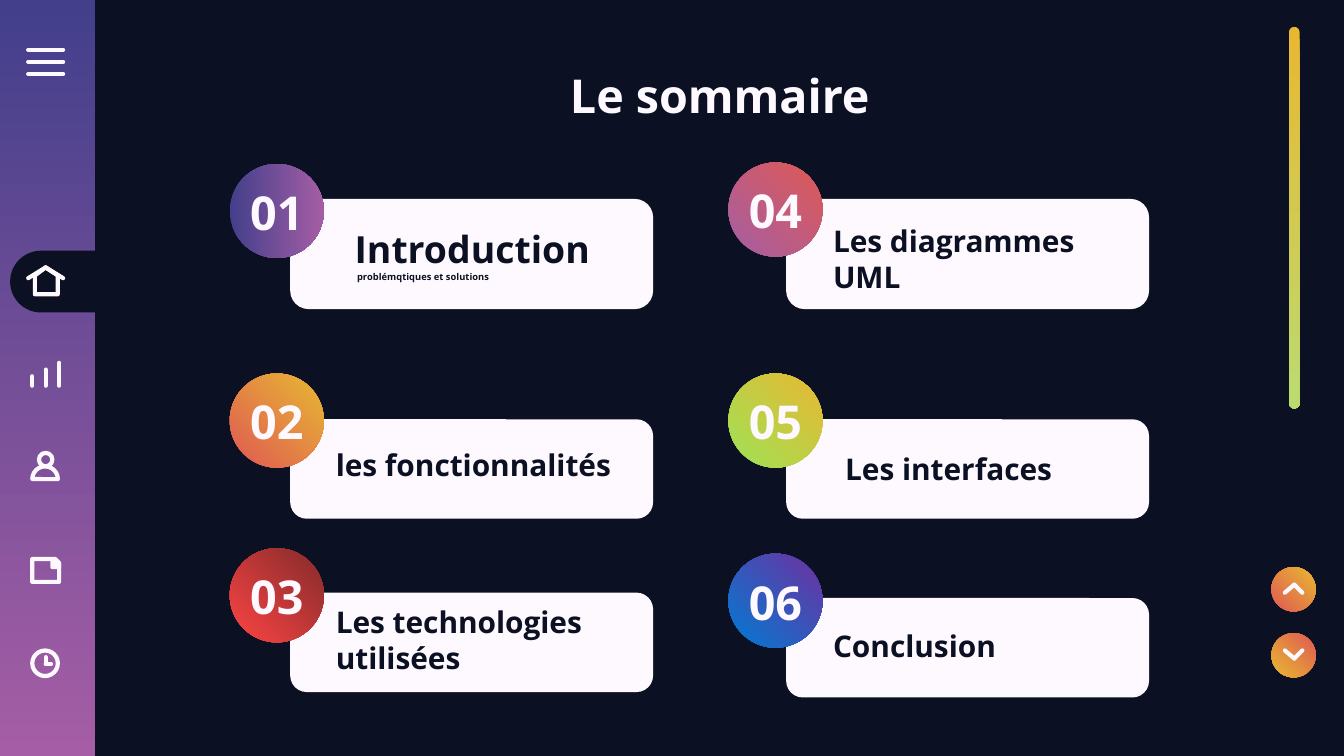
"""Build the agenda slide on a 16:9 grid of 1000 columns."""
import pptx
import pptx.util
import pptx.dml.color
import pptx.enum.shapes
import pptx.enum.text
import pptx.oxml.ns
import lxml.etree
from dataclasses import dataclass

KIND = pptx.enum.shapes.MSO_SHAPE
ALIGN = pptx.enum.text.PP_ALIGN
ANCHOR = pptx.enum.text.MSO_ANCHOR
TAG = pptx.oxml.ns.qn


@dataclass(frozen=True)
class Theme:
    font: str = "Open Sans"
    dark: str = "0B1022"
    light: str = "FDF9FF"
    violet: tuple = ("433F8B", "A55EA5")
    sun: tuple = ("DF5953", "E8B832")
    lime: tuple = ("E8B832", "BBDB70")
    head: int = 25
    lead: int = 20
    body: int = 16
    note: int = 5
    line: float = 2.25


LOOK = Theme()
COLS, CELL = 1000, pptx.util.Inches(0.01)
ROWS = COLS * 9 / 16
DOWN, ACROSS, UP = 270, 0, 45

TITLE = "Le sommaire"
BADGE, LEFT, RIGHT = 70, (171, 216), (542, 585)
ITEMS = [
    ("01", LEFT, 122, (148, 82), LOOK.violet, ACROSS, (254, 164, 202, 50),
     [("Introduction", LOOK.lead), (" problémqtiques et solutions", LOOK.note)]),
    ("02", LEFT, 278, (312, 74), LOOK.sun, UP, (240, 321, 229, 50),
     [("les fonctionnalités", LOOK.body)]),
    ("03", LEFT, 408, (441, 74), ("FE4444", "832B2B"), UP, (240, 451, 229, 50),
     [("Les technologies ", LOOK.body), ("utilisées", LOOK.body)]),
    ("04", RIGHT, 121, (148, 82), ("A55EA5", "DF5953"), UP, (610, 155, 353, 75),
     [("Les diagrammes ", LOOK.body), ("UML", LOOK.body)]),
    ("05", RIGHT, 278, (312, 74), ("9EE256", "E8B832"), UP, (619, 324, 245, 50),
     [("Les interfaces", LOOK.body)]),
    ("06", RIGHT, 412, (445, 74), ("007BD3", "7030A0"), UP, (610, 455, 229, 50),
     [("Conclusion", LOOK.body)]),
]
MENU = [(21, row, 47, row) for row in (37, 46, 55)]
ROOF = [(21, 207, 34, 199), (47, 207, 34, 199)]
BARS = [(24 + 10 * step, 280 - 5 * step, 24 + 10 * step, 287)
        for step in range(3)]
HANDS = [(34, 489, 34, 494), (38, 494, 34, 494)]
HOUSE = [(26, 205), (26, 219), (43, 219), (43, 205), (34, 199)]
FOLD = [(39, 417), (42, 417), (44, 420), (44, 422), (39, 422)]
ICONS = [
    (KIND.OVAL, (29, 337, 10, 10), 0, ()),
    (KIND.PIE, (24, 347, 19, 19), 90, (54.33, 162)),
    (KIND.SNIP_1_RECTANGLE, (24, 416, 20, 17), 0, (0.167,)),
    (KIND.OVAL, (24, 484, 19, 19), 0, ()),
]
KEYS = [(471, 180, 490, 484), (422, 0, 435, 441)]


def tint(code):
    return pptx.dml.color.RGBColor.from_string(code)


def grid(cells):
    return [int(cell * CELL) for cell in cells]


deck = pptx.Presentation()
deck.slide_width, deck.slide_height = grid((COLS, ROWS))
slide = deck.slides.add_slide(deck.slide_layouts[6])
shapes = slide.shapes


def paint(shape, fill):
    shape.shadow.inherit = False
    shape.line.fill.background()
    if fill:
        shape.fill.solid()
        shape.fill.fore_color.rgb = tint(fill)
    else:
        shape.fill.background()


def blend(shape, pair, angle):
    shape.fill.gradient()
    shape.fill.gradient_angle = angle
    for stop, code in zip(shape.fill.gradient_stops, pair):
        stop.color.rgb = tint(code)


def ink(shape):
    shape.line.color.rgb = tint(LOOK.light)
    shape.line.width = pptx.util.Pt(LOOK.line)
    edge = shape._element.spPr.find(TAG("a:ln"))
    edge.set("cap", "rnd")
    lxml.etree.SubElement(edge, TAG("a:round"))


def form(kind, cells, fill=None, turn=0, bends=()):
    shape = shapes.add_shape(kind, *grid(cells))
    paint(shape, fill)
    shape.rotation = turn
    for spot, bend in enumerate(bends):
        shape.adjustments[spot] = bend
    return shape


def draw(lines):
    for ends in lines:
        line = shapes.add_connector(
            pptx.enum.shapes.MSO_CONNECTOR.STRAIGHT, *grid(ends))
        ink(line)
        lxml.etree.SubElement(line._element.spPr, TAG("a:effectLst"))


def trace(points, fill=None):
    pen = shapes.build_freeform(*points[0], scale=CELL)
    pen.add_line_segments(points[1:], close=True)
    shape = pen.convert_to_shape()
    paint(shape, fill)
    ink(shape)


def write(cells, parts, color, align=ALIGN.LEFT, anchor=ANCHOR.MIDDLE):
    frame = shapes.add_textbox(*grid(cells)).text_frame
    frame.word_wrap = True
    frame.vertical_anchor = anchor
    frame.margin_left = frame.margin_right = 10 * CELL
    frame.margin_top = frame.margin_bottom = 10 * CELL
    para = frame.paragraphs[0]
    para.alignment = align
    para.font.name, para.font.bold = LOOK.font, True
    para.font.color.rgb = tint(color)
    for spot, (words, size) in enumerate(parts):
        if spot:
            para.add_line_break()
        run = para.add_run()
        run.text = words
        run.font.size = pptx.util.Pt(size)


slide.background.fill.solid()
slide.background.fill.fore_color.rgb = tint(LOOK.dark)
blend(form(KIND.RECTANGLE, (0, 0, 71, ROWS)), LOOK.violet, DOWN)
blend(form(KIND.ROUNDED_RECTANGLE, (959, 20, 8, 284), bends=(0.5,)),
      LOOK.lime, DOWN)
write((71, 40, 929, 63), [(TITLE, LOOK.head)], LOOK.light,
      ALIGN.CENTER, ANCHOR.TOP)

for number, (dot, card), top, (row, tall), pair, angle, box, parts in ITEMS:
    form(KIND.ROUNDED_RECTANGLE, (card, row, 270, tall), LOOK.light,
         bends=(0.167,))
    blend(form(KIND.OVAL, (dot, top, BADGE, BADGE)), pair, angle)
    write((dot, top + 7, BADGE, 57), [(number, LOOK.head)], LOOK.light,
          ALIGN.CENTER)
    write(box, parts, LOOK.dark)

form(KIND.ROUND_2_SAME_RECTANGLE, (20, 174, 46, 71), LOOK.dark, 270, (0.5, 0))
draw(MENU + ROOF + BARS)
trace(HOUSE)
for kind, cells, turn, bends in ICONS:
    ink(form(kind, cells, turn=turn, bends=bends))
trace(FOLD, LOOK.light)
draw(HANDS)
for top, turn, tip, wing in KEYS:
    blend(form(KIND.OVAL, (946, top, 33, 33), turn=turn), LOOK.sun, UP)
    draw([(963, tip, side, wing) for side in (956, 969)])

deck.save("out.pptx")
